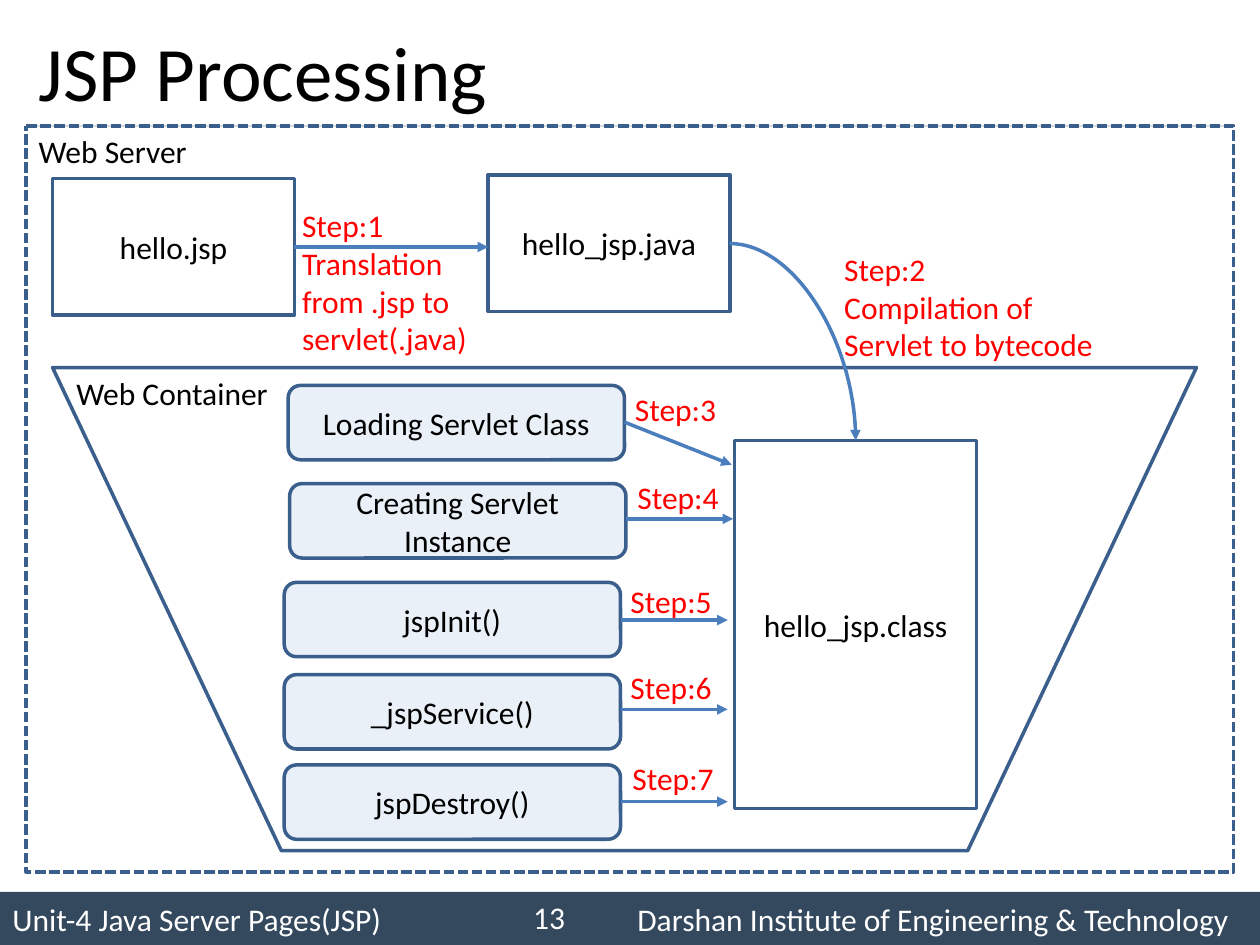
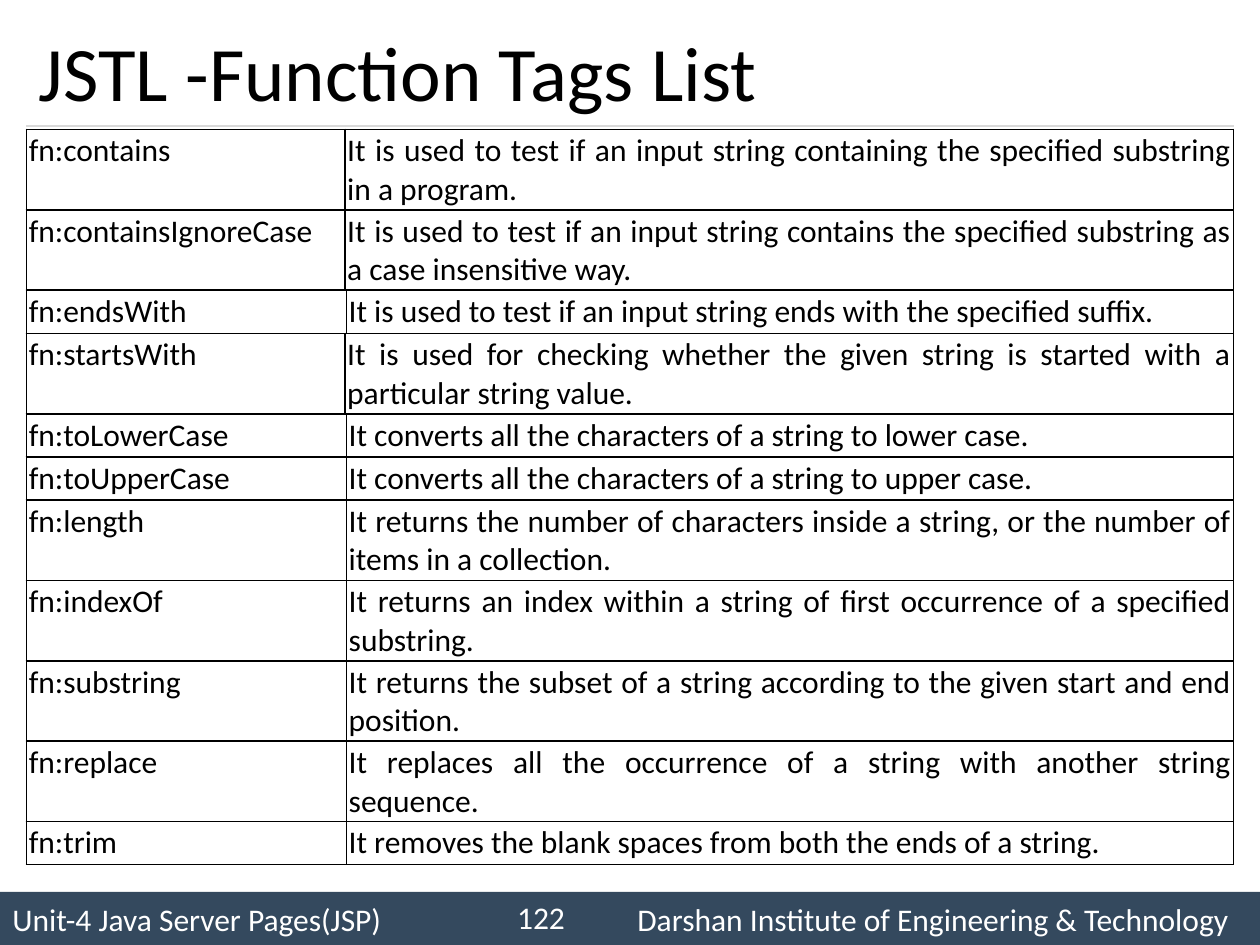
"""Build two slides on JSP processing and JSTL function tags."""
import pptx
import pptx.dml.color
import pptx.enum.dml
import pptx.enum.shapes
import pptx.enum.text
import pptx.oxml
import pptx.oxml.ns
import pptx.util
from lxml import etree

Cm = pptx.util.Cm
Pt = pptx.util.Pt
ALIGN = pptx.enum.text.PP_ALIGN
ANCHOR = pptx.enum.text.MSO_ANCHOR
SHAPE = pptx.enum.shapes.MSO_SHAPE
CONNECTOR = pptx.enum.shapes.MSO_CONNECTOR
qn = pptx.oxml.ns.qn

FONT = "Calibri"
BLACK, WHITE, RED = "000000", "FFFFFF", "FF0000"
BAND, RULE = "34495E", "D9D9D9"
OUTLINE, ARROW, STAGE_FILL = "3A5F8C", "4B7EBC", "B9CDE5"

SLIDE_WIDTH, SLIDE_HEIGHT = 25.4, 19.05
MARGIN = 0.53
CONTENT_WIDTH = SLIDE_WIDTH - 2 * MARGIN
TITLE_BOX = (MARGIN, 0.3, CONTENT_WIDTH, 2.24)
BAND_BOX = (0, 17.98, SLIDE_WIDTH, 1.07)
DIAGRAM_BOX = (MARGIN, 2.54, CONTENT_WIDTH, 15.04)
TAGS_BOX = (MARGIN, 2.61, CONTENT_WIDTH, 14.83)

FILE_SIZE = (4.88, 2.75)
STAGE_SIZE = (6.78, 1.5)
STEP_SIZE = (2.16, 1.02)
ARROW_REACH = 2.16
STAGES = [
    ("Loading Servlet Class", (5.28, 5.23), "Step:3", (12.02, 5.2), 5.97, 0.86),
    ("Creating Servlet Instance", (5.31, 7.21), "Step:4", (12.07, 6.97), 7.92, 0),
    ("jspInit()", (5.2, 9.2), "Step:5", (11.93, 9.07), 9.96, 0),
    ("_jspService()", (5.2, 11.06), "Step:6", (11.93, 10.8), 11.76, 0),
    ("jspDestroy()", (5.2, 12.88), "Step:7", (11.97, 12.63), 13.62, 0),
]

NARROW, WIDE = 6.42, 6.45
ONE_LINE, TWO_LINES = 0.87, 1.62
FUNCTION_TAGS = [
    ("fn:contains", "It is used to test if an input string containing the specified "
     "substring in a program.", NARROW, TWO_LINES),
    ("fn:containsIgnoreCase", "It is used to test if an input string contains the "
     "specified substring as a case insensitive way.", NARROW, TWO_LINES),
    ("fn:endsWith", "It is used to test if an input string ends with the specified "
     "suffix.", WIDE, ONE_LINE),
    ("fn:startsWith", "It is used for checking whether the given string is started "
     "with a particular string value.", NARROW, TWO_LINES),
    ("fn:toLowerCase", "It converts all the characters of a string to lower case.",
     WIDE, ONE_LINE),
    ("fn:toUpperCase", "It converts all the characters of a string to upper case.",
     WIDE, ONE_LINE),
    ("fn:length", "It returns the number of characters inside a string, or the number "
     "of items in a collection.", WIDE, TWO_LINES),
    ("fn:indexOf", "It returns an index within a string of first occurrence of a "
     "specified substring.", WIDE, TWO_LINES),
    ("fn:substring", "It returns the subset of a string according to the given start "
     "and end position.", WIDE, TWO_LINES),
    ("fn:replace", "It replaces all the occurrence of a string with another string "
     "sequence.", WIDE, TWO_LINES),
    ("fn:trim", "It removes the blank spaces from both the ends of a string.",
     WIDE, ONE_LINE),
]


def rgb(value):
    """Turn a hex string into a colour."""
    return pptx.dml.color.RGBColor.from_string(value)


def lengths(*values):
    """Turn numbers of centimetres into lengths."""
    return [Cm(value) for value in values]


def set_style(text_frame, color=BLACK, size=18, align=ALIGN.LEFT, anchor=ANCHOR.MIDDLE):
    """Format all paragraphs of a text frame alike."""
    text_frame.vertical_anchor = anchor
    for paragraph in text_frame.paragraphs:
        paragraph.alignment = align
        paragraph.font.name = FONT
        paragraph.font.size = Pt(size)
        paragraph.font.color.rgb = rgb(color)


def write(text_frame, text, color=BLACK, **style):
    """Fill a text frame with evenly formatted paragraphs."""
    text_frame.text = text
    set_style(text_frame, color, **style)


def add_label(slide, text, box, color=BLACK, wrap=True, **style):
    """Add a text box."""
    label = slide.shapes.add_textbox(*lengths(*box))
    label.text_frame.word_wrap = wrap
    write(label.text_frame, text, color, **style)


def add_outline(slide, kind, box, text=""):
    """Add an unfilled outlined shape with centred text."""
    shape = slide.shapes.add_shape(kind, *lengths(*box))
    shape.shadow.inherit = False
    shape.fill.background()
    shape.line.color.rgb = rgb(OUTLINE)
    shape.line.width = Pt(2)
    if text:
        write(shape.text_frame, text, align=ALIGN.CENTER)
    return shape


def add_line(slide, start, end, color, width, kind=CONNECTOR.STRAIGHT):
    """Add a connector without a shadow."""
    line = slide.shapes.add_connector(kind, *lengths(*start, *end))
    line.line.color.rgb = rgb(color)
    line.line.width = Pt(width)
    etree.SubElement(line._element.spPr, qn("a:effectLst"))
    return line


def add_arrow(slide, start, end, kind=CONNECTOR.STRAIGHT):
    """Add a connector with an arrowhead at its end."""
    arrow = add_line(slide, start, end, ARROW, 2, kind)
    etree.SubElement(arrow.line._get_or_add_ln(), qn("a:tailEnd"), type="triangle")
    return arrow


def add_footer(slide, number, box):
    """Add the band with unit, slide number and institute."""
    left, top, width, height = box
    band = slide.shapes.add_shape(SHAPE.RECTANGLE, *lengths(*box))
    band.shadow.inherit = False
    band.fill.solid()
    band.fill.fore_color.rgb = rgb(BAND)
    band.line.fill.background()
    band.text_frame.text = ("Unit-4 Java Server Pages(JSP)\t"
                            "Darshan Institute of Engineering & Technology")
    properties = band.text_frame.paragraphs[0]._p.get_or_add_pPr()
    tabs = etree.SubElement(properties, qn("a:tabLst"))
    etree.SubElement(tabs, qn("a:tab"), pos=str(Cm(12.6)), algn="l")
    set_style(band.text_frame, WHITE)
    add_label(slide, number, (left + 9.94, top, 1.7, 1.02), WHITE, align=ALIGN.RIGHT)


def add_titled_slide(presentation, title, number):
    """Add a slide with the shared title, rule and footer."""
    slide = presentation.slides.add_slide(presentation.slide_layouts[5])
    placeholder = slide.shapes.title
    left, top, width, height = TITLE_BOX
    placeholder.left, placeholder.top, placeholder.width, placeholder.height = lengths(
        *TITLE_BOX)
    write(placeholder.text_frame, title, size=44)
    placeholder.text_frame.auto_size = pptx.enum.text.MSO_AUTO_SIZE.NONE
    bottom = top + height
    add_line(slide, (left, bottom), (left + width, bottom), RULE, 0.75)
    add_footer(slide, number, BAND_BOX)
    return slide


def add_stage(slide, box, text):
    """Add one life-cycle stage with a translucent fill."""
    stage = add_outline(slide, SHAPE.ROUNDED_RECTANGLE, box, text)
    stage.fill.solid()
    stage.fill.fore_color.rgb = rgb(STAGE_FILL)
    fill_color = stage._element.spPr.find(qn("a:solidFill"))[0]
    etree.SubElement(fill_color, qn("a:alpha"), val="29000")


def draw_processing(slide, box):
    """Draw the web server, its files and the container stages."""
    left, top, width, height = box

    def place(x, y, *size):
        """Shift a position into the box."""
        return (left + x, top + y, *size)

    server = add_outline(slide, SHAPE.FLOWCHART_PROCESS, box)
    server.line.dash_style = pptx.enum.dml.MSO_LINE.SQUARE_DOT
    add_outline(slide, SHAPE.FLOWCHART_MANUAL_OPERATION, place(0.53, 4.87, 23.06, 9.74))
    for text, x, y, size in [
        ("hello.jsp", 0.53, 1.06, FILE_SIZE),
        ("hello_jsp.java", 9.31, 0.99, FILE_SIZE),
        ("hello_jsp.class", 14.28, 6.34, (4.88, 7.42)),
    ]:
        add_outline(slide, SHAPE.FLOWCHART_PROCESS, place(x, y, *size), text)

    for text, x, y, *size, color in [
        ("Web Server", 0, 0, 4.55, 1.02, BLACK),
        ("Web Container", 0.76, 4.88, 4.55, 1.02, BLACK),
        ("Step:1\nTranslation from .jsp to servlet(.java)", 5.31, 1.49, 3.91, 3.33, RED),
        ("Step:2\nCompilation of Servlet to bytecode", 16.24, 2.37, 5.74, 2.57, RED),
    ]:
        add_label(slide, text, place(x, y, *size), color, anchor=ANCHOR.TOP)

    add_arrow(slide, place(5.4, 2.44), place(9.31, 2.44))
    compilation = add_arrow(slide, place(14.18, 2.37), place(16.72, 6.34), CONNECTOR.CURVE)
    compilation._element.spPr.find(qn("a:prstGeom")).set("prst", "curvedConnector2")

    for text, (x, y), step, step_position, arrow_y, drop in STAGES:
        add_stage(slide, place(x, y, *STAGE_SIZE), text)
        right = x + STAGE_SIZE[0]
        add_arrow(slide, place(right, arrow_y), place(right + ARROW_REACH, arrow_y + drop))
        add_label(slide, step, place(*step_position, *STEP_SIZE), RED, wrap=False,
                  anchor=ANCHOR.TOP)


def format_cell(cell, text):
    """Write a justified table cell with thin black borders."""
    cell.margin_left = cell.margin_right = cell.margin_top = cell.margin_bottom = Cm(0.05)
    write(cell.text_frame, text, align=ALIGN.JUSTIFY)
    cell.vertical_anchor = ANCHOR.TOP
    properties = cell._tc.get_or_add_tcPr()
    for side in ("lnL", "lnR", "lnT", "lnB"):
        border = etree.SubElement(properties, qn(f"a:{side}"), w=str(Pt(1)))
        fill = etree.SubElement(border, qn("a:solidFill"))
        etree.SubElement(fill, qn("a:srgbClr"), val=BLACK)
    cell.fill.background()


def add_tag_table(slide, box, name, description, name_width):
    """Add the one-row table of a function tag."""
    table = slide.shapes.add_table(1, 2, *lengths(*box)).table
    table.first_row = table.horz_banding = False
    table.columns[0].width = Cm(name_width)
    table.columns[1].width = Cm(box[2] - name_width)
    for cell, text in zip(table.rows[0].cells, (name, description)):
        format_cell(cell, text)


def draw_function_tags(slide, box):
    """Stack the function tag tables from the top of the box."""
    left, top, width, _ = box
    for name, description, name_width, height in FUNCTION_TAGS:
        add_tag_table(slide, (left, top, width, height), name, description, name_width)
        top += height


def main():
    """Build and save the presentation."""
    presentation = pptx.Presentation()
    presentation.slide_width, presentation.slide_height = lengths(SLIDE_WIDTH, SLIDE_HEIGHT)
    draw_processing(add_titled_slide(presentation, "JSP Processing", "13"), DIAGRAM_BOX)
    draw_function_tags(
        add_titled_slide(presentation, "JSTL -Function Tags List", "122"), TAGS_BOX)
    presentation.save("out.pptx")


if __name__ == "__main__":
    main()
